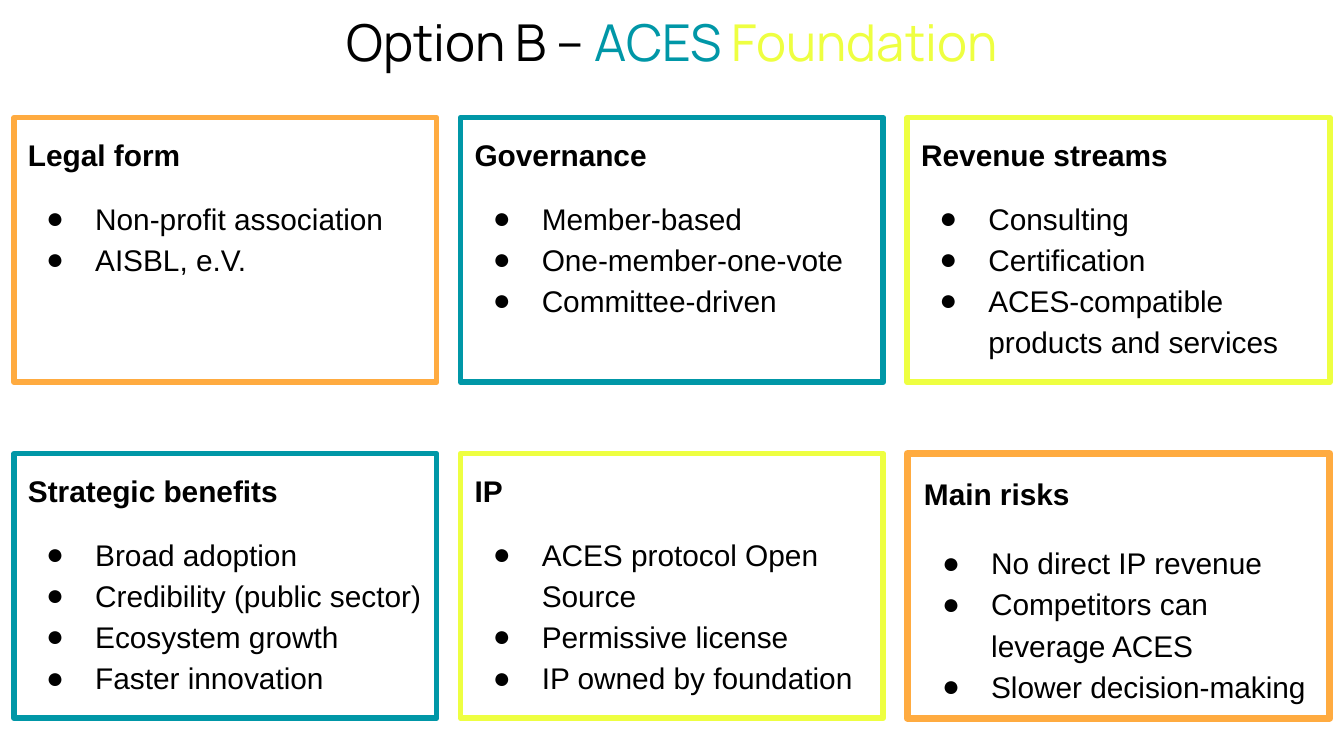
from lxml import etree
from pptx import Presentation
from pptx.dml.color import RGBColor
from pptx.enum.shapes import MSO_SHAPE
from pptx.enum.text import MSO_ANCHOR, PP_ALIGN
from pptx.oxml.ns import qn
from pptx.util import Pt

PX = 9525  # 96 px to the inch
BLACK, WHITE = "000000", "FFFFFF"
TEAL, LIME, AMBER = "0097A7", "EEFF41", "FFAB40"


def color(code):
    return RGBColor.from_string(code)


def add_run(para, text, face, size, code, bold=False):
    run = para.add_run()
    run.text = text
    run.font.name = face
    run.font.size = Pt(size)
    run.font.bold = bold
    run.font.color.rgb = color(code)


deck = Presentation()
deck.slide_width, deck.slide_height = 960 * PX, 540 * PX
slide = deck.slides.add_slide(deck.slide_layouts[6])

# Title
title = slide.shapes.add_textbox(0, 0, 960 * PX, 60 * PX).text_frame
title.word_wrap = True
title.margin_top = 8 * PX
para = title.paragraphs[0]
para.alignment = PP_ALIGN.CENTER
for text, code in [("Option B – ", BLACK), ("ACES ", TEAL), ("Foundation", LIME)]:
    add_run(para, text, "Manrope", 27.2, code)

# Cards: heading, colour, points, line width, inset, gap
cards = [
    ("Legal form", AMBER, ["Non-profit association", "AISBL, e.V."], 3, 10, 12),
    ("Governance", TEAL,
     ["Member-based", "One-member-one-vote", "Committee-driven"], 3, 10, 12),
    ("Revenue streams", LIME,
     ["Consulting", "Certification", "ACES-compatible products and services"],
     3, 10, 12),
    ("Strategic benefits", TEAL,
     ["Broad adoption", "Credibility (public sector)", "Ecosystem growth",
      "Faster innovation"], 3, 10, 12),
    ("IP", LIME,
     ["ACES protocol Open Source", "Permissive license",
      "IP owned by foundation"], 3, 10, 12),
    ("Main risks", AMBER,
     ["No direct IP revenue", "Competitors can leverage ACES",
      "Slower decision-making"], 3.75, 12, 15),
]

for i, (head, code, points, width, inset, gap) in enumerate(cards):
    row, col = divmod(i, 3)
    card = slide.shapes.add_shape(
        MSO_SHAPE.RECTANGLE, (10 + 319 * col) * PX, (84 + 240 * row) * PX,
        302 * PX, 189 * PX)
    card.shadow.inherit = False
    card.fill.solid()
    card.fill.fore_color.rgb = color(WHITE)
    card.line.color.rgb = color(code)
    card.line.width = Pt(width)

    frame = card.text_frame
    frame.word_wrap = True
    frame.vertical_anchor = MSO_ANCHOR.TOP
    frame.margin_left = frame.margin_right = inset * PX
    frame.margin_top = frame.margin_bottom = inset * PX

    # Heading
    para = frame.paragraphs[0]
    para.alignment = PP_ALIGN.LEFT
    para.line_spacing = 1.15
    add_run(para, head, "Arial", 16, BLACK, True)

    # Bullet points
    for n, point in enumerate(points):
        para = frame.add_paragraph()
        props = para._p.get_or_add_pPr()
        props.set("marL", str(48 * PX))
        props.set("indent", str(-35 * PX))
        tint = etree.SubElement(props, qn("a:buClr"))
        etree.SubElement(tint, qn("a:srgbClr")).set("val", BLACK)
        etree.SubElement(props, qn("a:buFont")).set("typeface", "Arial")
        etree.SubElement(props, qn("a:buChar")).set("char", "●")
        para.alignment = PP_ALIGN.LEFT
        para.line_spacing = 1.15
        para.space_before = Pt(0 if n else gap)
        add_run(para, point, "Arial", 16, BLACK)

deck.save("out.pptx")
